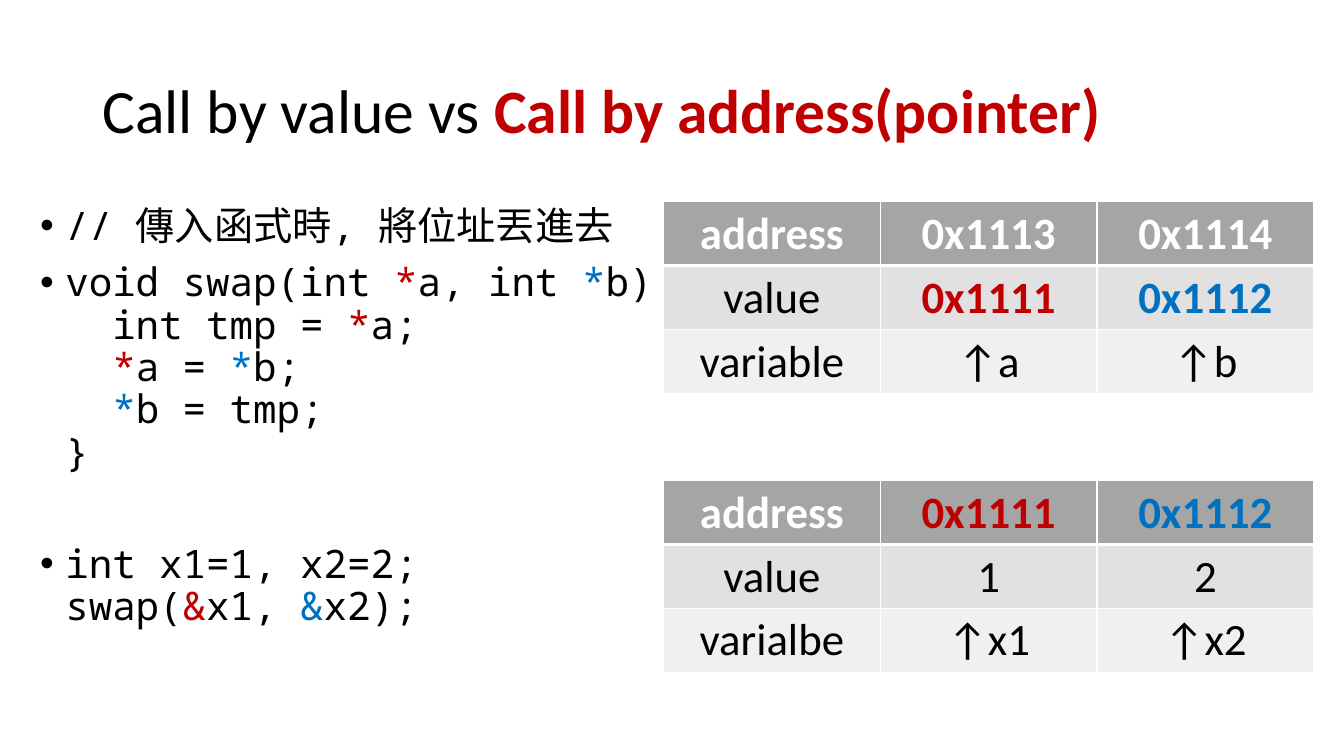
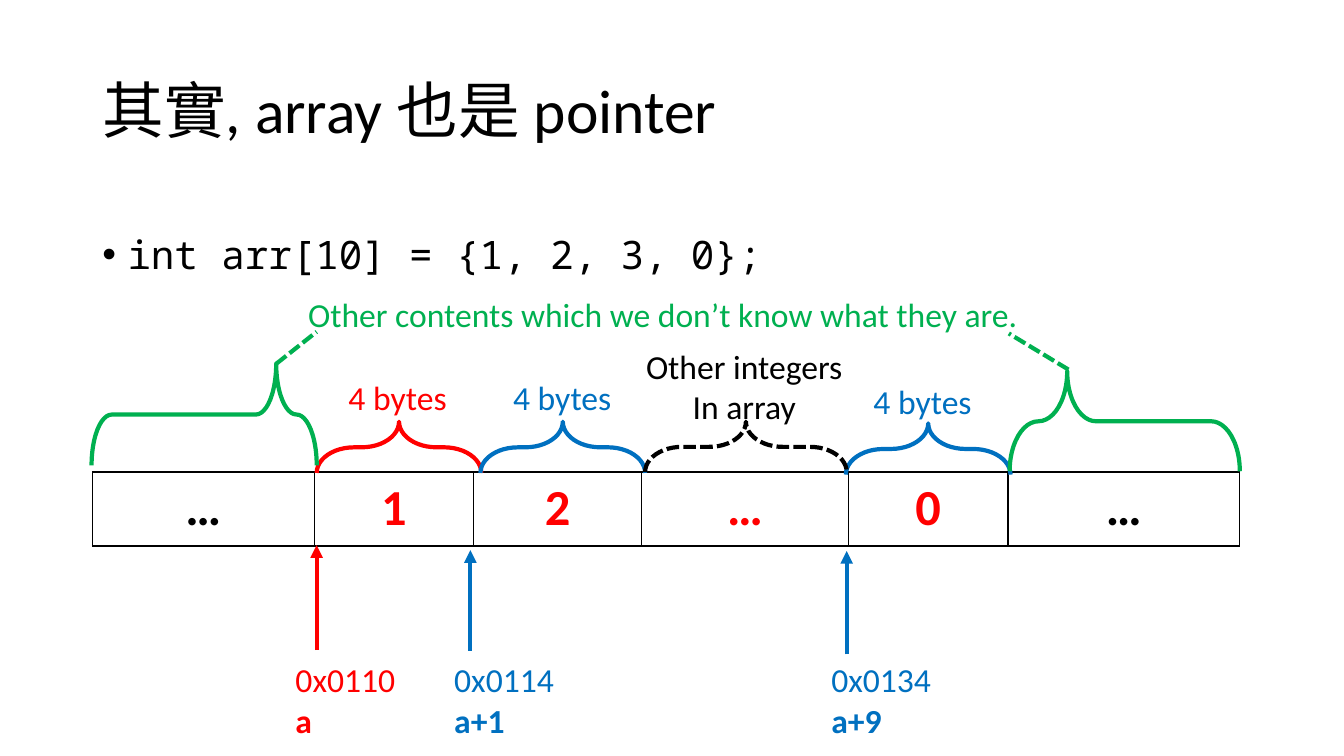
from dataclasses import dataclass
from typing import NamedTuple, Optional

from lxml import etree
from pptx import Presentation
from pptx.dml.color import RGBColor
from pptx.enum.dml import MSO_LINE
from pptx.enum.shapes import MSO_CONNECTOR, MSO_SHAPE
from pptx.enum.text import MSO_ANCHOR, MSO_AUTO_SIZE, PP_ALIGN
from pptx.oxml.ns import qn
from pptx.util import Emu, Inches, Pt

LEFT, CENTER = PP_ALIGN.LEFT, PP_ALIGN.CENTER
MIDDLE = MSO_ANCHOR.MIDDLE
NO_FIT, GROW = MSO_AUTO_SIZE.NONE, MSO_AUTO_SIZE.SHAPE_TO_FIT_TEXT
LEFT_BRACE, STRAIGHT = MSO_SHAPE.LEFT_BRACE, MSO_CONNECTOR.STRAIGHT
DASH = MSO_LINE.SQUARE_DOT

BLACK = RGBColor(0x00, 0x00, 0x00)
WHITE = RGBColor(0xFF, 0xFF, 0xFF)
DARK_RED = RGBColor(0xC0, 0x00, 0x00)
RED = RGBColor(0xFF, 0x00, 0x00)
BLUE = RGBColor(0x00, 0x70, 0xC0)
GREEN = RGBColor(0x00, 0xB0, 0x50)
HEADER_GRAY = RGBColor(0xA5, 0xA5, 0xA5)
BAND_GRAYS = (HEADER_GRAY, RGBColor(0xE1, 0xE1, 0xE1), RGBColor(0xF0, 0xF0, 0xF0))

TEXT_FONT, CODE_FONT = "Calibri", "Noto Sans Mono"

# The slide is a grid of 160 columns by 90 square cells.
SLIDE_WIDTH, SLIDE_HEIGHT = Emu(12192000), Emu(6858000)
CELL = SLIDE_WIDTH // 160


class Box(NamedTuple):
    left: float
    top: float
    width: float
    height: float


class Span(NamedTuple):
    text: str
    color: Optional[RGBColor] = None
    bold: Optional[bool] = None


@dataclass(frozen=True)
class CodeItem:
    spans: tuple[Span, ...]
    space_before: float = 10


@dataclass(frozen=True)
class Brace:
    """A brace that opens downwards; box is the area it covers on the slide."""
    box: Box
    color: RGBColor
    curl: float = 0.73
    tip: float = 0.5
    dashed: bool = False


@dataclass(frozen=True)
class Label:
    box: Box
    color: RGBColor
    lines: tuple[Span, ...]
    align: PP_ALIGN = LEFT


@dataclass(frozen=True)
class Line:
    start: tuple[float, float]
    end: tuple[float, float]
    color: RGBColor
    arrow: bool = False


TITLE_BOX = Box(11, 4.8, 138, 17.4)
STAR_A, STAR_B = Span("*", DARK_RED), Span("*", BLUE)

SWAP_CODE = (
    CodeItem((Span("// 傳入函式時, 將位址丟進去"),), 0),
    CodeItem((
        Span("void swap(int "), STAR_A, Span("a, int "), STAR_B,
        Span("b) {\n  int tmp = "), STAR_A, Span("a;\n  "), STAR_A,
        Span("a = "), STAR_B, Span("b;\n  "), STAR_B, Span("b = tmp;\n}"),
    )),
    CodeItem((
        Span("int x1=1, x2=2;\nswap("), Span("&", DARK_RED), Span("x1, "),
        Span("&", BLUE), Span("x2);"),
    ), 50),
)
ARRAY_CODE = (CodeItem((Span("int arr[10] = {1, 2, 3, 0};"),), 0),)

ADDRESS_A, ADDRESS_B = Span("0x1111", DARK_RED, True), Span("0x1112", BLUE, True)


def header(text: str) -> Span:
    return Span(text, WHITE, True)


def plain(*texts: str) -> tuple[Span, ...]:
    return tuple(Span(text, BLACK, False) for text in texts)


POINTER_ROWS = (
    (header("address"), header("0x1113"), header("0x1114")),
    (*plain("value"), ADDRESS_A, ADDRESS_B),
    plain("variable", "↑a", "↑b"),
)
VALUE_ROWS = (
    (header("address"), ADDRESS_A, ADDRESS_B),
    plain("value", "1", "2"),
    plain("varialbe", "↑x1", "↑x2"),
)
MEMORY_ROW = (
    Span("…", BLACK, True),
    *(Span(text, RED, True) for text in ("1", "2", "…", "0")),
    Span("…", BLACK, True),
)
MEMORY_COLUMNS = (26.4, 19, 20, 24.6, 19, 27.6)

BRACES = (
    Brace(Box(37.7, 50.2, 19.6, 6.1), RED),
    Brace(Box(57.2, 50.2, 19.6, 6.1), BLUE),
    Brace(Box(100.7, 50.4, 19.6, 6.1), BLUE),
    Brace(Box(10.9, 43.3, 26.8, 12.1), GREEN, curl=0.3, tip=0.18),
    Brace(Box(120.2, 44.2, 27.4, 11.9), GREEN, tip=0.75),
    Brace(Box(76.8, 50.2, 24, 6), BLACK, dashed=True),
)
LINES = (
    Line((37.7, 77.4), (37.7, 64.9), RED, arrow=True),
    Line((56, 77.5), (56, 65.5), BLUE, arrow=True),
    Line((100.8, 77.9), (100.8, 65.6), BLUE, arrow=True),
    Line((32.9, 43.3), (37.7, 39.5), GREEN),
    Line((127.2, 44), (120.1, 39.7), GREEN),
)


def size_label(left: float, top: float, color: RGBColor) -> Label:
    return Label(Box(left, top, 14.3, 6), color, (Span("4 bytes"),))


def address_label(left: float, color: RGBColor, address: str, name: str) -> Label:
    return Label(Box(left, 77.9, 14.4, 10.9), color,
                 (Span(address), Span(name, bold=True)))


LABELS = (
    size_label(40.3, 44.3, RED),
    size_label(59.9, 44.3, BLUE),
    size_label(102.8, 44.8, BLUE),
    address_label(34, RED, "0x0110", "a"),
    address_label(52.9, BLUE, "0x0114", "a+1"),
    address_label(97.8, BLUE, "0x0134", "a+9"),
    Label(Box(35.5, 34.4, 87.6, 6), GREEN,
          (Span("Other contents which we don’t know what they are."),)),
    Label(Box(75.6, 40.6, 26, 10.9), BLACK,
          (Span("Other integers"), Span("In array")), CENTER),
)


def grid(*cells: float) -> list[Emu]:
    return [Emu(round(cell * CELL)) for cell in cells]


def write(paragraph, spans, size: float, font_name: str = TEXT_FONT,
          color: RGBColor = BLACK) -> None:
    """Fill a paragraph, with spans overriding its colour and weight."""
    paragraph.font.size = Pt(size)
    paragraph.font.name = font_name
    paragraph.font.color.rgb = color
    for span in spans:
        for index, text in enumerate(span.text.split("\n")):
            if index:
                paragraph.add_line_break()
            if not text:
                continue
            run = paragraph.add_run()
            run.text = text
            if span.color is not None:
                run.font.color.rgb = span.color
            if span.bold is not None:
                run.font.bold = span.bold


def nth_paragraph(frame, index: int):
    return frame.add_paragraph() if index else frame.paragraphs[0]


def add_titled_slide(presentation, *title_spans: Span):
    slide = presentation.slides.add_slide(presentation.slide_layouts[5])
    title = slide.shapes.title
    title.left, title.top, title.width, title.height = grid(*TITLE_BOX)
    frame = title.text_frame
    frame.vertical_anchor, frame.auto_size, frame.word_wrap = MIDDLE, NO_FIT, True
    paragraph = frame.paragraphs[0]
    paragraph.alignment, paragraph.line_spacing = LEFT, 0.9
    write(paragraph, title_spans, 44)
    return slide


def add_code(slide, box: Box, items: tuple[CodeItem, ...], line_spacing: float) -> None:
    frame = slide.shapes.add_textbox(*grid(*box)).text_frame
    frame.word_wrap = True
    for index, item in enumerate(items):
        paragraph = nth_paragraph(frame, index)
        paragraph.line_spacing = line_spacing
        paragraph.space_before = Pt(item.space_before)
        properties = paragraph._p.get_or_add_pPr()
        properties.set("marL", str(Inches(0.25)))
        properties.set("indent", str(-Inches(0.25)))
        etree.SubElement(properties, qn("a:buFont"), typeface="Arial")
        etree.SubElement(properties, qn("a:buChar"), char="•")
        write(paragraph, item.spans, 28, CODE_FONT)


def add_borders(cell, color: RGBColor, top: float = 1, bottom: float = 1) -> None:
    properties = cell._tc.get_or_add_tcPr()
    for side, points in (("L", 1), ("R", 1), ("T", top), ("B", bottom)):
        border = etree.SubElement(properties, qn(f"a:ln{side}"), w=str(Pt(points)))
        fill = etree.SubElement(border, qn("a:solidFill"))
        etree.SubElement(fill, qn("a:srgbClr"), val=str(color))


def add_grid_table(slide, left: float, top: float, columns: tuple[float, ...],
                   row_height: float, rows, fills, border: RGBColor,
                   size: float, header_rule: float = 1) -> None:
    box = Box(left, top, sum(columns), row_height * len(rows))
    table = slide.shapes.add_table(len(rows), len(columns), *grid(*box)).table
    table.first_row = table.horz_banding = False
    for column, width in zip(table.columns, grid(*columns)):
        column.width = width
    for row_index, (spans, fill) in enumerate(zip(rows, fills)):
        for column_index, span in enumerate(spans):
            cell = table.cell(row_index, column_index)
            add_borders(cell, border,
                        top=header_rule if row_index == 1 else 1,
                        bottom=header_rule if row_index == 0 else 1)
            cell.fill.solid()
            cell.fill.fore_color.rgb = fill
            paragraph = cell.text_frame.paragraphs[0]
            paragraph.alignment = CENTER
            write(paragraph, (span,), size)


def add_brace(slide, brace: Brace) -> None:
    left, top, width, height = brace.box
    upright = Box(left + (width - height) / 2, top + (height - width) / 2, height, width)
    shape = slide.shapes.add_shape(LEFT_BRACE, *grid(*upright))
    shape.rotation = 90
    shape.adjustments[0], shape.adjustments[1] = brace.curl, brace.tip
    shape.shadow.inherit = False
    shape.fill.background()
    shape.line.color.rgb, shape.line.width = brace.color, Pt(3)
    if brace.dashed:
        shape.line.dash_style = DASH


def add_line(slide, line: Line) -> None:
    connector = slide.shapes.add_connector(STRAIGHT, *grid(*line.start, *line.end))
    connector.line.color.rgb, connector.line.width = line.color, Pt(3)
    if line.arrow:
        etree.SubElement(connector.line._get_or_add_ln(), qn("a:tailEnd"), type="triangle")
    else:
        connector.line.dash_style = DASH
    etree.SubElement(connector._element.spPr, qn("a:effectLst"))


def add_label(slide, label: Label) -> None:
    frame = slide.shapes.add_textbox(*grid(*label.box)).text_frame
    frame.word_wrap, frame.auto_size = False, GROW
    for index, span in enumerate(label.lines):
        paragraph = nth_paragraph(frame, index)
        paragraph.alignment = label.align
        write(paragraph, (span,), 24, color=label.color)


def build_swap_slide(presentation) -> None:
    slide = add_titled_slide(presentation, Span("Call by value vs "),
                             Span("Call by address(pointer)", DARK_RED, True))
    add_code(slide, Box(3.6, 24, 154.6, 57.1), SWAP_CODE, 0.9)
    for top, rows in ((24, POINTER_ROWS), (57.2, VALUE_ROWS)):
        add_grid_table(slide, 79, top, (25.8,) * 3, 7.6, rows, BAND_GRAYS,
                       WHITE, 32, header_rule=3)


def build_array_slide(presentation) -> None:
    slide = add_titled_slide(presentation, Span("其實, array 也是 pointer"))
    add_code(slide, Box(11, 24, 142.7, 57.1), ARRAY_CODE, 1.5)
    add_grid_table(slide, 11, 56.2, MEMORY_COLUMNS, 8.8, (MEMORY_ROW,), (WHITE,), BLACK, 36)
    for draw, items in ((add_brace, BRACES), (add_line, LINES), (add_label, LABELS)):
        for item in items:
            draw(slide, item)


def main() -> None:
    presentation = Presentation()
    presentation.slide_width, presentation.slide_height = SLIDE_WIDTH, SLIDE_HEIGHT
    build_swap_slide(presentation)
    build_array_slide(presentation)
    presentation.save("out.pptx")


if __name__ == "__main__":
    main()
